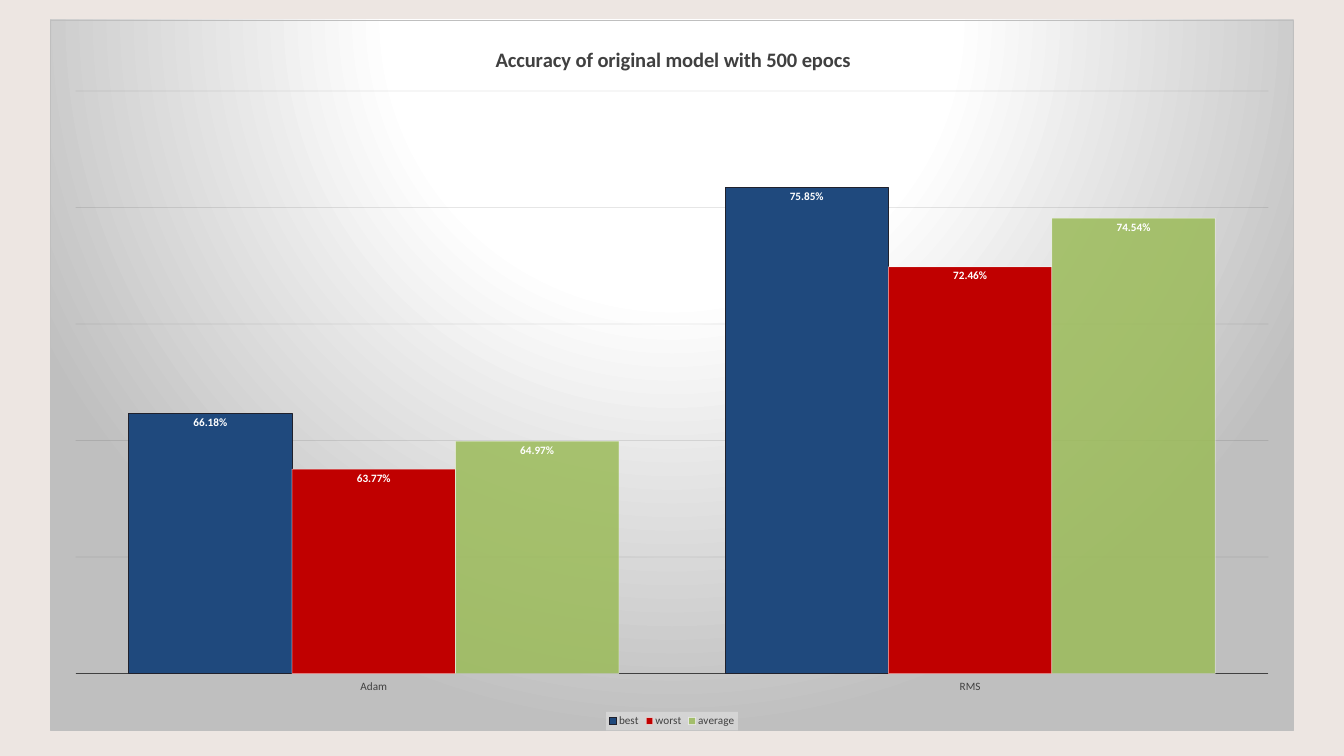
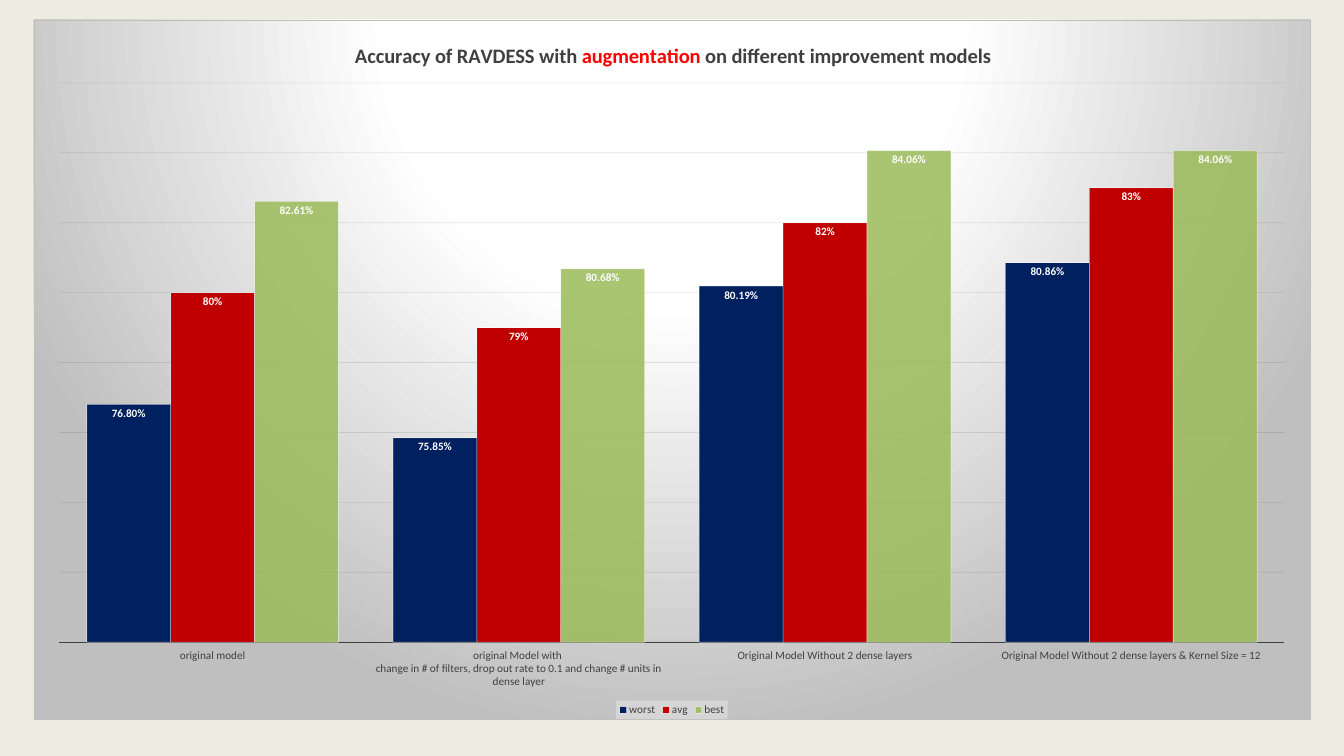
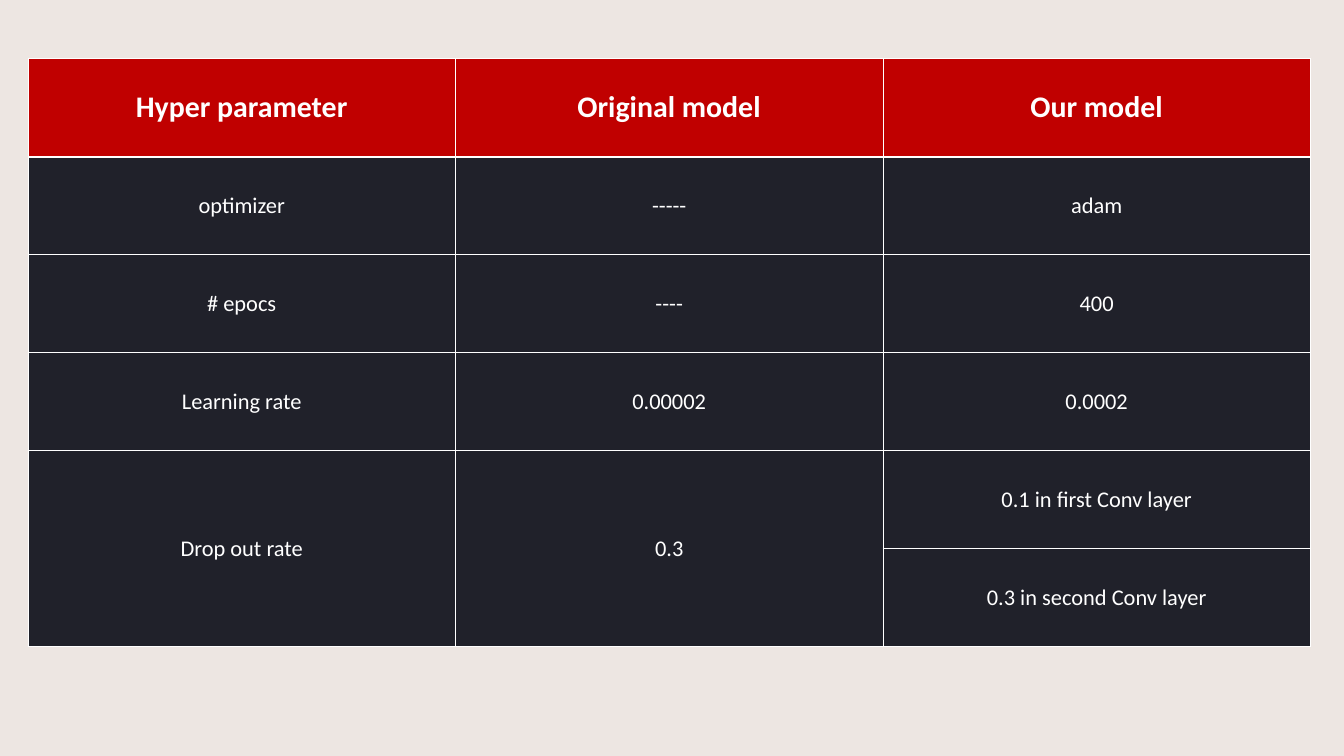
from pptx import Presentation
from pptx.chart.data import CategoryChartData
from pptx.dml.color import RGBColor
from pptx.enum.chart import XL_CHART_TYPE as ChartType
from pptx.enum.chart import XL_LABEL_POSITION as LabelPosition
from pptx.enum.chart import XL_LEGEND_POSITION as LegendPosition
from pptx.enum.chart import XL_TICK_LABEL_POSITION as TickLabelPosition
from pptx.enum.chart import XL_TICK_MARK as TickMark
from pptx.enum.text import MSO_ANCHOR as Anchor
from pptx.enum.text import PP_ALIGN as Align
from pptx.oxml import parse_xml
from pptx.oxml.ns import nsdecls, qn
from pptx.util import Pt

FONT = "Calibri"
WHITE, DARK_TEXT, RED, GREEN = "FFFFFF", "404040", "C00000", "9BBB59"
ROSE, CREAM, NIGHT = "EDE6E2", "EEECE1", "20212A"
SLIDE_SIZE = (1440, 810)

ACCURACY_CHARTS = [
    {
        "background": ROSE,
        "box": (54, 21, 1332, 762),
        "title": [("Accuracy of original model with 500 epocs", DARK_TEXT)],
        "title_at": (0.355, 0.03),
        "plot_at": (0.02, 0.1, 0.96, 0.82),
        "scale": (0.55, 0.8, 0.05),
        "categories": ["Adam", "RMS"],
        "series": [
            ("best", [0.6618, 0.7585], "1F497D", "20212C", "0.00%"),
            ("worst", [0.6377, 0.7246], RED, WHITE, "0.00%"),
            ("average", [0.6497, 0.7454], GREEN, WHITE, "0.00%"),
        ],
    },
    {
        "background": CREAM,
        "box": (36, 21, 1368, 750),
        "title": [
            ("Accuracy of RAVDESS with ", DARK_TEXT),
            ("augmentation", "FF0000"),
            (" on different improvement models", DARK_TEXT),
        ],
        "title_at": (0.25, 0.03),
        "plot_at": (0.02, 0.09, 0.96, 0.8),
        "scale": (0.7, 0.86, 0.02),
        "categories": [
            "original model",
            "original Model with \nchange in # of filters, drop out rate to 0.1 "
            "and change # units in dense layer",
            "Original Model Without 2 dense layers",
            "Original Model Without 2 dense layers & Kernel Size = 12",
        ],
        "series": [
            ("worst", [0.768, 0.7585, 0.8019, 0.8086], "002060", WHITE, "0.00%"),
            ("avg", [0.8, 0.79, 0.82, 0.83], RED, WHITE, "0%"),
            ("best", [0.8261, 0.8068, 0.8406, 0.8406], GREEN, WHITE, "0.00%"),
        ],
    },
]

HYPER_PARAMETERS = [
    ("Hyper parameter", "Original model", "Our model"),
    ("optimizer", "-----", "adam"),
    ("# epocs", "----", "400"),
    ("Learning rate", "0.00002", "0.0002"),
    ("Drop out rate", "0.3", "0.1 in first Conv layer"),
    ("", "", "0.3 in second Conv layer"),
]
TABLE_BOX = (30, 63, 1374, 630)

CHART_PANEL = f"""<c:spPr {nsdecls("c", "a")}>
<a:gradFill><a:gsLst>
<a:gs pos="0"><a:srgbClr val="FFFFFF"/></a:gs>
<a:gs pos="39000"><a:srgbClr val="FFFFFF"/></a:gs>
<a:gs pos="100000"><a:srgbClr val="BFBFBF"/></a:gs>
</a:gsLst><a:path path="circle">
<a:fillToRect l="50000" t="-80000" r="50000" b="180000"/></a:path></a:gradFill>
<a:ln w="9525"><a:solidFill><a:srgbClr val="BFBFBF"/></a:solidFill></a:ln>
</c:spPr>"""
LEGEND_PANEL = f"""<c:spPr {nsdecls("c", "a")}><a:solidFill><a:srgbClr val="F2F2F2">
<a:alpha val="39000"/></a:srgbClr></a:solidFill></c:spPr>"""
CLEAR_PANEL = f'<c:spPr {nsdecls("c", "a")}><a:noFill/></c:spPr>'


def color(value):
    return RGBColor.from_string(value)


def apply(target, values):
    for name, value in values.items():
        setattr(target, name, value)


def format_font(font, size, shade, bold=False):
    apply(font, {"name": FONT, "size": Pt(size), "bold": bold})
    font.color.rgb = color(shade)


def format_line(line, shade, width):
    line.color.rgb = color(shade)
    line.width = Pt(width)


def set_alpha(chart, query, percent):
    for node in chart.element.xpath(query):
        node.append(parse_xml(f'<a:alpha {nsdecls("a")} val="{percent * 1000}"/>'))


def set_layout(parent, index, place, target=""):
    for old in parent.findall(qn("c:layout")):
        parent.remove(old)
    modes = "".join(f'<c:{axis}Mode val="edge"/>' for axis in "xy")
    sizes = "".join(f'<c:{name} val="{value}"/>' for name, value in zip("xywh", place))
    parent.insert(index, parse_xml(
        f'<c:layout {nsdecls("c")}><c:manualLayout>{target}{modes}{sizes}'
        "</c:manualLayout></c:layout>"))


def add_slide(presentation, background):
    slide = presentation.slides.add_slide(presentation.slide_layouts[6])
    slide.background.fill.solid()
    slide.background.fill.fore_color.rgb = color(background)
    return slide


def format_axes(chart, scale):
    category_axis, value_axis = chart.category_axis, chart.value_axis
    apply(category_axis, {
        "major_tick_mark": TickMark.NONE,
        "minor_tick_mark": TickMark.NONE,
        "tick_label_position": TickLabelPosition.LOW,
    })
    format_font(category_axis.tick_labels.font, 12, DARK_TEXT)
    format_line(category_axis.format.line, DARK_TEXT, 1.5)
    minimum, maximum, step = scale
    apply(value_axis, {
        "minimum_scale": minimum,
        "maximum_scale": maximum,
        "major_unit": step,
        "has_major_gridlines": True,
        "visible": False,
    })
    format_line(value_axis.major_gridlines.format.line, "0D0D0D", 0.75)
    set_alpha(chart, "//c:majorGridlines//a:srgbClr", 10)


def format_series(chart, rows):
    apply(chart.plots[0], {"gap_width": 65, "overlap": 0, "vary_by_categories": False})
    for number, (series, row) in enumerate(zip(chart.plots[0].series, rows), 1):
        fill, outline, number_format = row[2:]
        series.format.fill.solid()
        series.format.fill.fore_color.rgb = color(fill)
        format_line(series.format.line, outline, 0.75)
        labels = series.data_labels
        apply(labels, {
            "show_value": True,
            "number_format": number_format,
            "number_format_is_linked": False,
            "position": LabelPosition.INSIDE_END,
        })
        format_font(labels.font, 12, WHITE, True)
        properties = f"//c:ser[{number}]/c:spPr"
        if outline == WHITE:
            set_alpha(chart, f"{properties}/a:ln//a:srgbClr", 50)
        if fill == GREEN:
            set_alpha(chart, f"{properties}/a:solidFill/a:srgbClr", 85)


def add_accuracy_chart(presentation, content):
    slide = add_slide(presentation, content["background"])
    data = CategoryChartData()
    data.categories = content["categories"]
    for name, values, _, _, number_format in content["series"]:
        data.add_series(name, values, number_format)
    chart = slide.shapes.add_chart(
        ChartType.COLUMN_CLUSTERED, *map(Pt, content["box"]), data).chart
    format_font(chart.font, 10, "000000")
    apply(chart, {"has_title": True, "has_legend": True})

    paragraph = chart.chart_title.text_frame.paragraphs[0]
    for text, shade in content["title"]:
        run = paragraph.add_run()
        run.text = text
        format_font(run.font, 22, shade, True)
    apply(chart.legend, {"position": LegendPosition.BOTTOM, "include_in_layout": False})
    format_font(chart.legend.font, 12, DARK_TEXT)
    format_axes(chart, content["scale"])
    format_series(chart, content["series"])

    root = chart.element.find(qn("c:chart"))
    plot_area = root.find(qn("c:plotArea"))
    set_layout(root.find(qn("c:title")), 1, content["title_at"])
    set_layout(plot_area, 0, content["plot_at"], '<c:layoutTarget val="inner"/>')
    plot_area.append(parse_xml(CLEAR_PANEL))
    legend_text = root.find(qn("c:legend")).find(qn("c:txPr"))
    legend_text.addprevious(parse_xml(LEGEND_PANEL))
    root.addnext(parse_xml(CHART_PANEL))


def set_borders(cell, widths):
    properties = cell._tc.get_or_add_tcPr()
    for index, (side, width) in enumerate(widths.items()):
        properties.insert(index, parse_xml(
            f'<a:ln{side} {nsdecls("a")} w="{Pt(width)}"><a:solidFill>'
            f'<a:srgbClr val="{WHITE}"/></a:solidFill></a:ln{side}>'))


def add_parameter_table(presentation):
    slide = add_slide(presentation, ROSE)
    table = slide.shapes.add_table(
        len(HYPER_PARAMETERS), len(HYPER_PARAMETERS[0]), *map(Pt, TABLE_BOX)).table
    for row, texts in enumerate(HYPER_PARAMETERS):
        header = row == 0
        for column, text in enumerate(texts):
            cell = table.cell(row, column)
            cell.vertical_anchor = Anchor.MIDDLE
            cell.fill.solid()
            cell.fill.fore_color.rgb = color(RED if header else NIGHT)
            set_borders(cell, {
                "L": 1, "R": 1, "T": 3 if row == 1 else 1, "B": 3 if header else 1})
            paragraph = cell.text_frame.paragraphs[0]
            paragraph.alignment = Align.CENTER
            if text:
                run = paragraph.add_run()
                run.text = text
                format_font(run.font, 32 if header else 24, WHITE, header)
    for column in range(2):
        table.cell(4, column).merge(table.cell(5, column))


def main():
    presentation = Presentation()
    width, height = SLIDE_SIZE
    apply(presentation, {"slide_width": Pt(width), "slide_height": Pt(height)})
    for content in ACCURACY_CHARTS:
        add_accuracy_chart(presentation, content)
    add_parameter_table(presentation)
    presentation.save("out.pptx")


if __name__ == "__main__":
    main()
